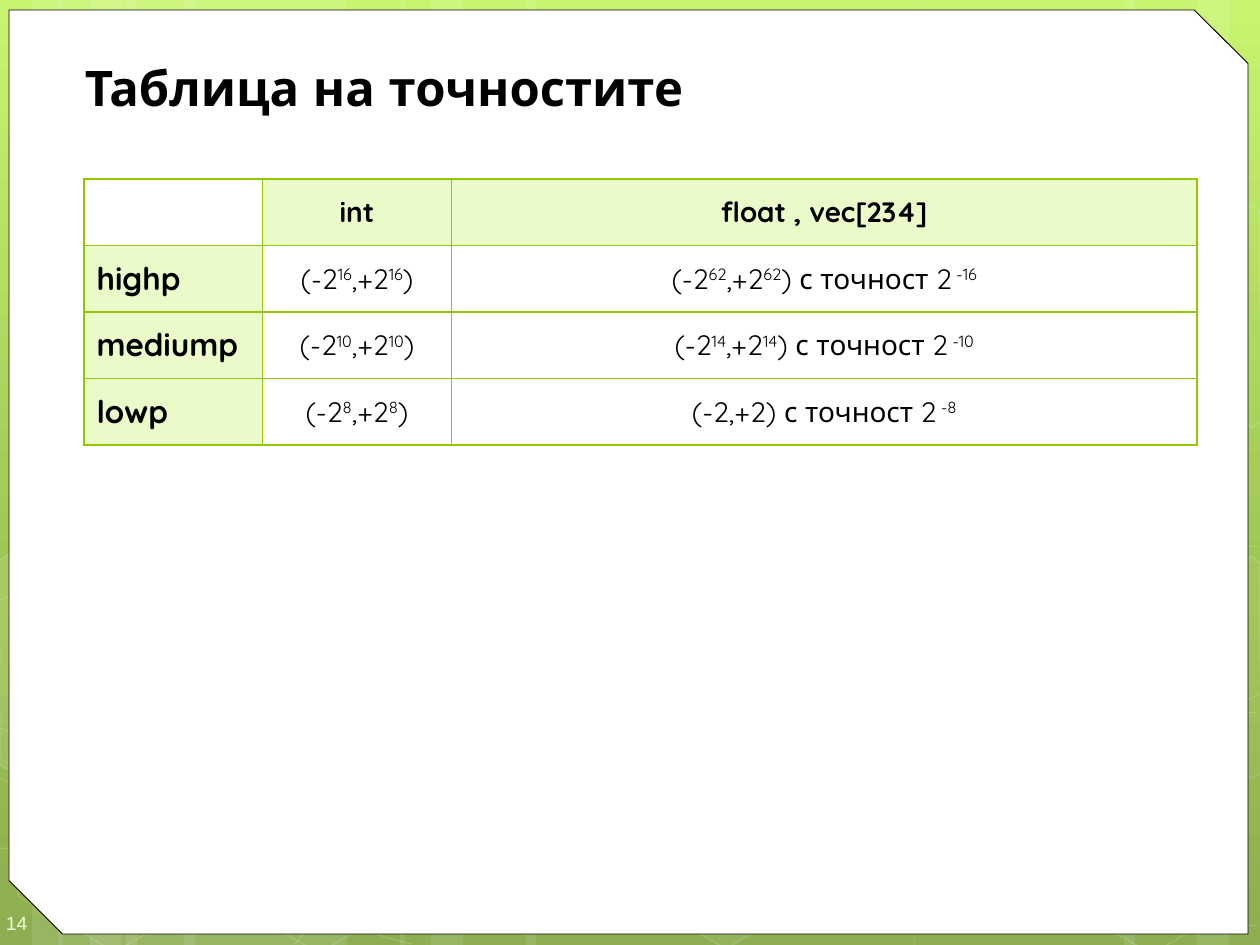
from copy import deepcopy
from dataclasses import dataclass

from lxml.etree import SubElement
from pptx import Presentation
from pptx.dml.color import RGBColor
from pptx.enum.lang import MSO_LANGUAGE_ID
from pptx.enum.shapes import MSO_SHAPE
from pptx.enum.text import MSO_ANCHOR, PP_ALIGN
from pptx.oxml.ns import qn
from pptx.util import Pt


@dataclass(frozen=True)
class Theme:
    background: tuple = ((0, "C3F35F"), (0.62, "93BF3F"), (1, "81A53E"))
    white: str = "FFFFFF"
    black: str = "000000"
    border: str = "94C600"
    label_fill: str = "EAFAC9"
    page_number: str = "EEFFD6"
    font: str = "Quicksand"
    number_font: str = "Arial"
    title_size: int = 28
    label_size: int = 18
    cell_size: int = 16
    number_size: int = 11


@dataclass(frozen=True)
class Hexagon:
    x: int
    y: int
    fill: int  # opacity in percent, 0 for none
    line: int


@dataclass(frozen=True)
class CutHexagon:
    x: int
    y: int
    outline: tuple
    fill: int


THEME = Theme()
STRIPES = [(126, 221), (0, 63), (32, 105), (184, 221), (58, 63), (90, 105),
           (914, 221), (1197, 63), (1124, 105), (526, 389), (400, 63), (431, 105)]
# Each curve: a start point, then three points for every cubic segment
CURVES = [
    [(-1, 848), (67, 852), (135, 856), (229, 854), (324, 853), (440, 851), (567, 838),
     (693, 825), (872, 801), (987, 777), (1103, 753), (1221, 716), (1259, 694)],
    [(-1, 601), (35, 581), (71, 562), (142, 543), (214, 524), (315, 496), (427, 488),
     (539, 479), (675, 478), (814, 488), (953, 498), (1183, 537), (1259, 547)],
    [(-2, 777), (149, 847), (301, 916), (411, 944)],
    [(-1, 728), (38, 742), (77, 756), (151, 776), (224, 795), (334, 827), (438, 848),
     (544, 869), (677, 892), (781, 905), (885, 919), (997, 924), (1063, 927),
     (1130, 932), (1148, 930), (1181, 930), (1212, 929), (1237, 927), (1259, 925)],
    [(295, 944), (318, 919), (339, 893), (370, 871), (401, 848), (442, 823), (478, 805),
     (513, 788), (534, 780), (581, 767), (627, 755), (712, 737), (756, 728),
     (800, 719), (808, 719), (847, 717), (886, 713), (946, 709), (990, 708),
     (1033, 707), (1106, 708), (1106, 708), (1106, 708), (1189, 708), (1189, 708),
     (1213, 709), (1235, 711), (1245, 712), (1256, 713), (1252, 712), (1257, 713)],
]
HEXAGONS = [
    Hexagon(413, 394, 10, 12), Hexagon(513, 568, 0, 12), Hexagon(514, 219, 7, 8),
    Hexagon(411, 45, 4, 8), Hexagon(615, 742, 6, 12), Hexagon(4, 745, 0, 12),
    Hexagon(8, 393, 7, 8), Hexagon(107, 568, 0, 12), Hexagon(208, 746, 0, 12),
    Hexagon(210, 394, 7, 8), Hexagon(110, 215, 0, 12), Hexagon(937, 571, 10, 12),
    Hexagon(1041, 747, 0, 12), Hexagon(1041, 396, 7, 8),
]
LEFT_CUT = ((0, 15), (8, 0), (119, 0), (174, 96), (120, 192), (103, 192))
RIGHT_CUT = ((0, 95), (54, 0), (64, 1), (171, 182), (166, 192), (54, 192))
CUT_HEXAGONS = [CutHexagon(-53, 578, LEFT_CUT, 10), CutHexagon(1145, 559, RIGHT_CUT, 4),
                CutHexagon(1145, 208, RIGHT_CUT, 0)]
# Text between carets is superscript
ROWS = [
    ("", "int", "float , vec[234]"),
    ("highp", "(-2^16^,+2^16^)", "(-2^62^,+2^62^) с точност 2^ -16^"),
    ("mediump", "(-2^10^,+2^10^)", "(-2^14^,+2^14^) с точност 2^ -10^"),
    ("lowp", "(-2^8^,+2^8^)", "(-2,+2) с точност 2^ -8^"),
]
COLUMN_SHARES = (17, 18, 71)


def px(n: float) -> int:
    return round(n * 914400 / 126)


def rgb(color: str) -> RGBColor:
    return RGBColor.from_string(color)


def set_alpha(sp, xpath: str, percent: int) -> None:
    if percent < 100:
        for color in sp._element.spPr.xpath(xpath):
            SubElement(color, qn("a:alpha"), val=str(percent * 1000))


def paint(sp, fill: int = 0, line: int = 0, width: float = 1, line_color: str = THEME.white) -> None:
    """Paint white fill and a line with opacities in percent; 0 leaves either out."""
    sp.shadow.inherit = False
    if fill:
        sp.fill.solid()
        sp.fill.fore_color.rgb = rgb(THEME.white)
        set_alpha(sp, "a:solidFill/a:srgbClr", fill)
    else:
        sp.fill.background()
    if line:
        sp.line.color.rgb = rgb(line_color)
        sp.line.width = Pt(width)
        set_alpha(sp, "a:ln/a:solidFill/a:srgbClr", line)
    else:
        sp.line.fill.background()


def add_shape(s, kind, x: int, y: int, w: int, h: int):
    return s.shapes.add_shape(kind, px(x), px(y), px(w), px(h))


def add_outline(s, points, close: bool):
    builder = s.shapes.build_freeform(*map(px, points[0]), scale=1.0)
    builder.add_line_segments([(px(x), px(y)) for x, y in points[1:]], close=close)
    return builder.convert_to_shape()


def add_curve(s, points: list):
    """Draw the control points as lines, then join every three into a cubic segment."""
    sp = add_outline(s, points, close=False)
    path = sp._element.find(".//" + qn("a:path"))
    lines = path.findall(qn("a:lnTo"))
    for i in range(0, len(lines), 3):
        cubic = SubElement(path, qn("a:cubicBezTo"))
        for line in lines[i:i + 3]:
            cubic.append(line[0])
            path.remove(line)
    return sp


def set_background(s) -> None:
    fill = s.background.fill
    fill.gradient()
    fill.gradient_angle = 270
    stops = s._element.find(".//" + qn("a:gsLst"))
    stops.append(deepcopy(stops[-1]))
    for stop, (position, color) in zip(fill.gradient_stops, THEME.background):
        stop.position = position
        stop.color.rgb = rgb(color)


def set_font(p, size: int, color: str = THEME.black, bold: bool = False, name: str = THEME.font) -> None:
    f = p.font
    f.name, f.size, f.bold = name, Pt(size), bold
    f.color.rgb = rgb(color)


def add_text(s, text: str, box: tuple, margins: tuple, anchor, **font) -> None:
    tf = s.shapes.add_textbox(*map(px, box)).text_frame
    tf.word_wrap = True
    tf.vertical_anchor = anchor
    tf.margin_left, tf.margin_top, tf.margin_right, tf.margin_bottom = map(px, margins)
    p = tf.paragraphs[0]
    p.text = text
    set_font(p, **font)


def fill_cell(cell, text: str, is_header: bool, is_label: bool) -> None:
    cell.vertical_anchor = MSO_ANCHOR.MIDDLE
    p = cell.text_frame.paragraphs[0]
    p.alignment = PP_ALIGN.LEFT if is_label else PP_ALIGN.CENTER
    set_font(p, THEME.label_size if is_label else THEME.cell_size, bold=is_header or is_label)
    for i, part in enumerate(text.split("^")):
        if part:
            r = p.add_run()
            r.text = part
            r.font.language_id = MSO_LANGUAGE_ID.BULGARIAN
            if i % 2:
                r.font._element.set("baseline", "30000")
    # Borders come before the fill in the cell properties
    for side in ("a:lnL", "a:lnR", "a:lnT", "a:lnB"):
        ln = SubElement(cell._tc.get_or_add_tcPr(), qn(side), w=str(Pt(1)))
        SubElement(SubElement(ln, qn("a:solidFill")), qn("a:srgbClr"), val=THEME.border)
    if text and (is_header or is_label):
        cell.fill.solid()
        cell.fill.fore_color.rgb = rgb(THEME.label_fill)
    else:
        cell.fill.background()


def add_precision_table(s, x: int, y: int, w: int, h: int) -> None:
    table = s.shapes.add_table(len(ROWS), len(COLUMN_SHARES), px(x), px(y), px(w), px(h)).table
    table.first_row = table.horz_banding = False
    for column, share in zip(table.columns, COLUMN_SHARES):
        column.width = px(w * share / sum(COLUMN_SHARES))
    for i, row in enumerate(ROWS):
        table.rows[i].height = px(h / len(ROWS))
        for j, text in enumerate(row):
            fill_cell(table.cell(i, j), text, i == 0, j == 0)


def main() -> None:
    prs = Presentation()
    prs.slide_width, prs.slide_height = px(1260), px(945)
    s = prs.slides.add_slide(prs.slide_layouts[6])

    # Backdrop
    set_background(s)
    for x, w in STRIPES:
        paint(add_shape(s, MSO_SHAPE.RECTANGLE, x, 0, w, 945), fill=10)
    for curve in CURVES:
        paint(add_curve(s, curve), line=20, width=0.5)
    for hexagon in HEXAGONS:
        sp = add_shape(s, MSO_SHAPE.HEXAGON, hexagon.x, hexagon.y, 221, 192)
        sp.adjustments[0] = 0.285
        sp.rotation = 30
        paint(sp, hexagon.fill, hexagon.line)
    for cut in CUT_HEXAGONS:
        sp = add_outline(s, [(cut.x + x, cut.y + y) for x, y in cut.outline], close=True)
        sp.rotation = 30
        paint(sp, cut.fill, 12)

    # White panel with two snipped corners
    panel = add_shape(s, MSO_SHAPE.SNIP_2_DIAG_RECTANGLE, 9, 10, 1239, 924)
    panel.adjustments[0], panel.adjustments[1] = 0, 0.058
    paint(panel, 100, 100, 0.5, THEME.black)

    # Page number, title and table
    add_text(s, "14", (0, 895, 73, 50), (6, 19, 0, 13), MSO_ANCHOR.MIDDLE,
             size=THEME.number_size, color=THEME.page_number, name=THEME.number_font)
    add_text(s, "Таблица на точностите", (63, 52, 1187, 883), (22, 6, 13, 6), MSO_ANCHOR.TOP,
             size=THEME.title_size, bold=True)
    add_precision_table(s, 84, 179, 1113, 266)

    prs.save("out.pptx")


if __name__ == "__main__":
    main()
